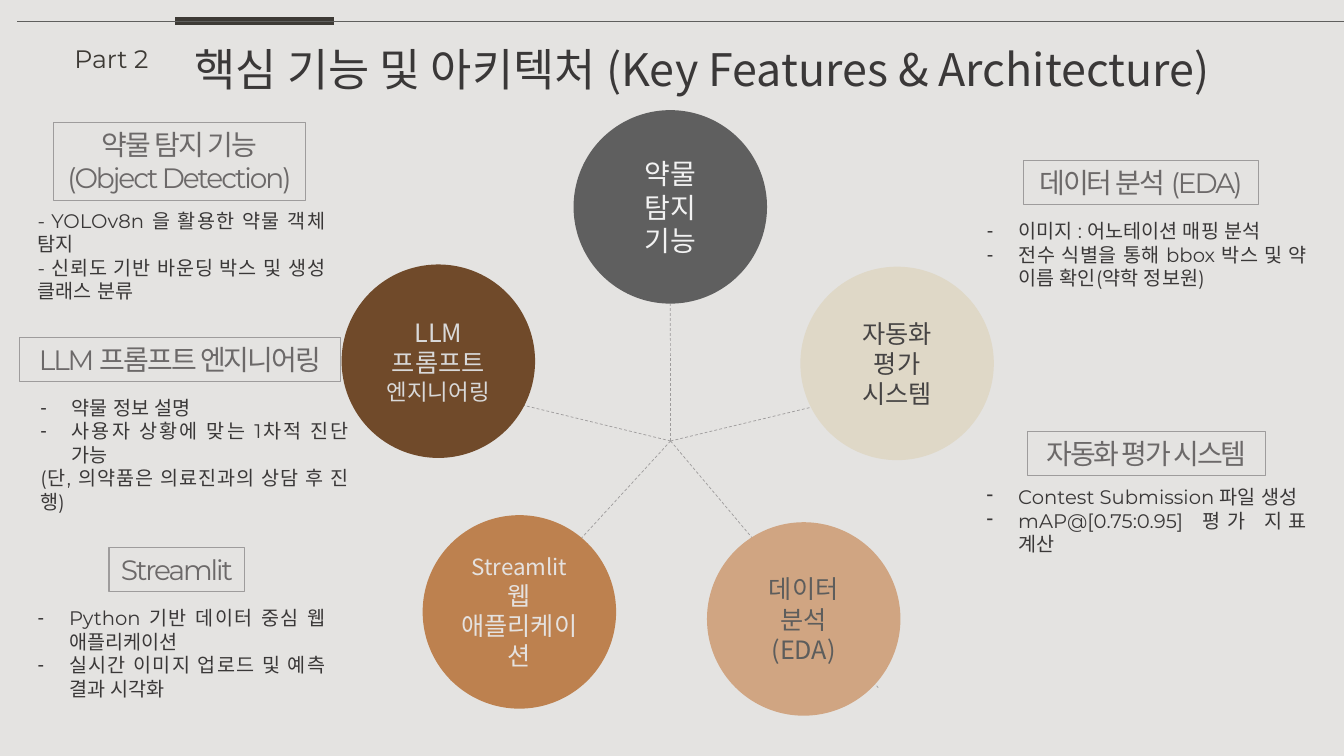
from lxml import etree
from pptx import Presentation
from pptx.dml.color import RGBColor
from pptx.enum import dml, shapes, text
from pptx.oxml import ns
from pptx.util import Pt

BACKGROUND = RGBColor(0xE4, 0xE3, 0xE1)
INK = RGBColor(0x3A, 0x38, 0x38)
RULE = RGBColor(0x3D, 0x3A, 0x35)
THIN_RULE = RGBColor(0x5F, 0x5F, 0x5D)
FRAME = RGBColor(0x9E, 0x9C, 0x9C)
HEADING = RGBColor(0x6C, 0x69, 0x69)
GRAY = RGBColor(0x5F, 0x5F, 0x5F)
BROWN = RGBColor(0x70, 0x4A, 0x2A)
ORANGE = RGBColor(0xBD, 0x81, 0x4F)
TAN = RGBColor(0xD0, 0xA5, 0x82)
CREAM = RGBColor(0xDF, 0xD8, 0xC7)
NEAR_WHITE = RGBColor(0xF2, 0xF2, 0xF2)
PALE = RGBColor(0xE5, 0xE2, 0xE0)
SILVER = RGBColor(0xD9, 0xD9, 0xD9)
TAN_INK = RGBColor(0x5D, 0x5D, 0x5C)
CREAM_INK = RGBColor(0x46, 0x44, 0x44)

LATIN, KOREAN = "Montserrat", "Noto Sans CJK KR"
TITLE = "핵심 기능 및 아키텍처 (Key Features & Architecture)"
PART = "Part 2"
HUB = (479, 315)
DIAMETER = 138.2
INDENT = 22.5

# circle: left, top, fill, text colour, lines with sizes, spoke end from the centre in radii
CIRCLES = [
    (409.7, 78.7, GRAY, NEAR_WHITE, [("약물", 20), ("탐지", 20), ("기능", 20)], (0, 1)),
    (571.7, 190.5, CREAM, CREAM_INK, [("자동화", 18), ("평가", 18), ("시스템", 18)], (1, 0)),
    (505, 373, TAN, TAN_INK, [("데이터", 18), ("분석", 18), ("(EDA)", 18)], (0.77, 0.71)),
    (301.9, 368, ORANGE, PALE, [("Streamlit", 16), ("웹 애플리케이션", 18)], (-0.71, 0.71)),
    (244, 188.9, BROWN, SILVER, [("LLM", 18), ("프롬프트", 18), ("엔지니어링", 16)], (-1, 0)),
]

# feature: heading box, heading font, heading lines, list box, list lines with dash flags
FEATURES = [
    ((38, 87.4, 180.3, 55.7), LATIN, ["약물 탐지 기능", "(Object Detection)"],
     (19.6, 145.4, 220, 75),
     [("- YOLOv8n 을 활용한 약물 객체 탐지", False),
      ("- 신뢰도 기반 바운딩 박스 및 생성 클래스 분류", False)]),
    ((14, 240.8, 229, 31.5), LATIN, ["LLM 프롬프트 엔지니어링"],
     (21.6, 279, 235, 92),
     [("약물 정보 설명", True), ("사용자 상황에 맞는 1차적 진단 가능", True),
      ("(단, 의약품은 의료진과의 상담 후 진행)", False)]),
    ((77.9, 391, 97, 31.5), LATIN, ["Streamlit"],
     (19.6, 429.4, 220, 75),
     [("Python 기반 데이터 중심 웹 애플리케이션", True),
      ("실시간 이미지 업로드 및 예측 결과 시각화", True)]),
    ((731, 114.5, 168, 31.5), LATIN, ["데이터 분석 (EDA)"],
     (697.7, 152.8, 243, 58),
     [("이미지 : 어노테이션 매핑 분석", True),
      ("전수 식별을 통해 bbox 박스 및 약 이름 확인(약학 정보원)", True)]),
    ((734, 308, 170, 31.5), KOREAN, ["자동화 평가 시스템"],
     (697.7, 343, 243, 58),
     [("Contest Submission 파일 생성", True), ("mAP@[0.75:0.95] 평가 지표 계산", True)]),
]


def place(shape, box):
    shape.left, shape.top, shape.width, shape.height = map(Pt, box)


def write(shape, lines, *, size=14, font=LATIN, color=INK, align=text.PP_ALIGN.LEFT,
          anchor=text.MSO_ANCHOR.TOP, wrap=True, grow=True, tracking=0):
    frame = shape.text_frame
    frame.word_wrap = wrap
    frame.vertical_anchor = anchor
    frame.auto_size = text.MSO_AUTO_SIZE.SHAPE_TO_FIT_TEXT if grow else text.MSO_AUTO_SIZE.NONE
    for index, (words, line_size, dashed) in enumerate(lines):
        paragraph = frame.add_paragraph() if index else frame.paragraphs[0]
        paragraph.alignment = align
        paragraph.line_spacing = 1.0
        paragraph.space_before = paragraph.space_after = Pt(0)
        properties = paragraph._p.get_or_add_pPr()
        indent = Pt(INDENT) if dashed else 0
        properties.set("marL", str(indent))
        properties.set("indent", str(-indent))
        bullet = etree.SubElement(properties, ns.qn("a:buChar" if dashed else "a:buNone"))
        if dashed:
            bullet.set("char", "-")
        run = paragraph.add_run()
        run.text = words
        run.font.size = Pt(line_size or size)
        run.font.bold = False
        run.font.name = font
        run.font.color.rgb = color
        run_properties = run._r.get_or_add_rPr()
        etree.SubElement(run_properties, ns.qn("a:ea")).set("typeface", font)
        if tracking:
            run_properties.set("spc", str(int(tracking * 100)))


def draw_line(slide, start, end, color, width, dashed=False):
    line = slide.shapes.add_connector(shapes.MSO_CONNECTOR.STRAIGHT, *map(Pt, (*start, *end)))
    line.line.color.rgb = color
    line.line.width = Pt(width)
    if dashed:
        line.line.dash_style = dml.MSO_LINE.DASH
    etree.SubElement(line._element.spPr, ns.qn("a:effectLst"))


def add_circle(slide, left, top, fill, color, lines):
    circle = slide.shapes.add_shape(
        shapes.MSO_SHAPE.OVAL, *map(Pt, (left, top, DIAMETER, DIAMETER)))
    circle.shadow.inherit = False
    circle.fill.solid()
    circle.fill.fore_color.rgb = fill
    circle.line.fill.background()
    write(circle, [(words, size, False) for words, size in lines], font=KOREAN, color=color,
          align=text.PP_ALIGN.CENTER, anchor=text.MSO_ANCHOR.MIDDLE, grow=False)


def add_heading(slide, box, font, lines):
    heading = slide.shapes.add_shape(shapes.MSO_SHAPE.RECTANGLE, *map(Pt, box))
    heading.shadow.inherit = False
    heading.fill.background()
    heading.line.color.rgb = FRAME
    heading.line.width = Pt(0.75)
    write(heading, [(words, None, False) for words in lines], size=20, font=font,
          color=HEADING, align=text.PP_ALIGN.CENTER, wrap=False, tracking=-1.5)


def main():
    presentation = Presentation()
    presentation.slide_width, presentation.slide_height = Pt(960), Pt(540)
    slide = presentation.slides.add_slide(presentation.slide_layouts.get_by_name("Comparison"))
    slide.background.fill.solid()
    slide.background.fill.fore_color.rgb = BACKGROUND

    title = slide.shapes.title
    place(title, (131.8, 26, 795.6, 46))
    write(title, [(TITLE, None, False)], size=32, font=KOREAN, wrap=False)

    radius = DIAMETER / 2
    for left, top, _, _, _, (across, down) in CIRCLES:
        end = (left + radius * (1 + across), top + radius * (1 + down))
        draw_line(slide, HUB, end, FRAME, 0.5, dashed=True)
    for left, top, fill, color, lines, _ in CIRCLES:
        add_circle(slide, left, top, fill, color, lines)

    bodies = iter([shape for shape in slide.placeholders
                   if 1 <= shape.placeholder_format.idx <= 4])
    for heading_box, font, heading_lines, list_box, list_lines in FEATURES:
        body = next(bodies, None) or slide.shapes.add_textbox(*map(Pt, list_box))
        place(body, list_box)
        write(body, [(words, None, dashed) for words, dashed in list_lines],
              align=text.PP_ALIGN.JUSTIFY)
        add_heading(slide, heading_box, font, heading_lines)

    part = slide.shapes.add_textbox(*map(Pt, (46, 27.4, 70, 29)))
    write(part, [(PART, None, False)], size=18, color=RULE, wrap=False)
    draw_line(slide, (125.3, 15), (238.3, 15), RULE, 6)
    draw_line(slide, (12.2, 15), (960, 15), THIN_RULE, 0.5)
    presentation.save("out.pptx")


if __name__ == "__main__":
    main()
